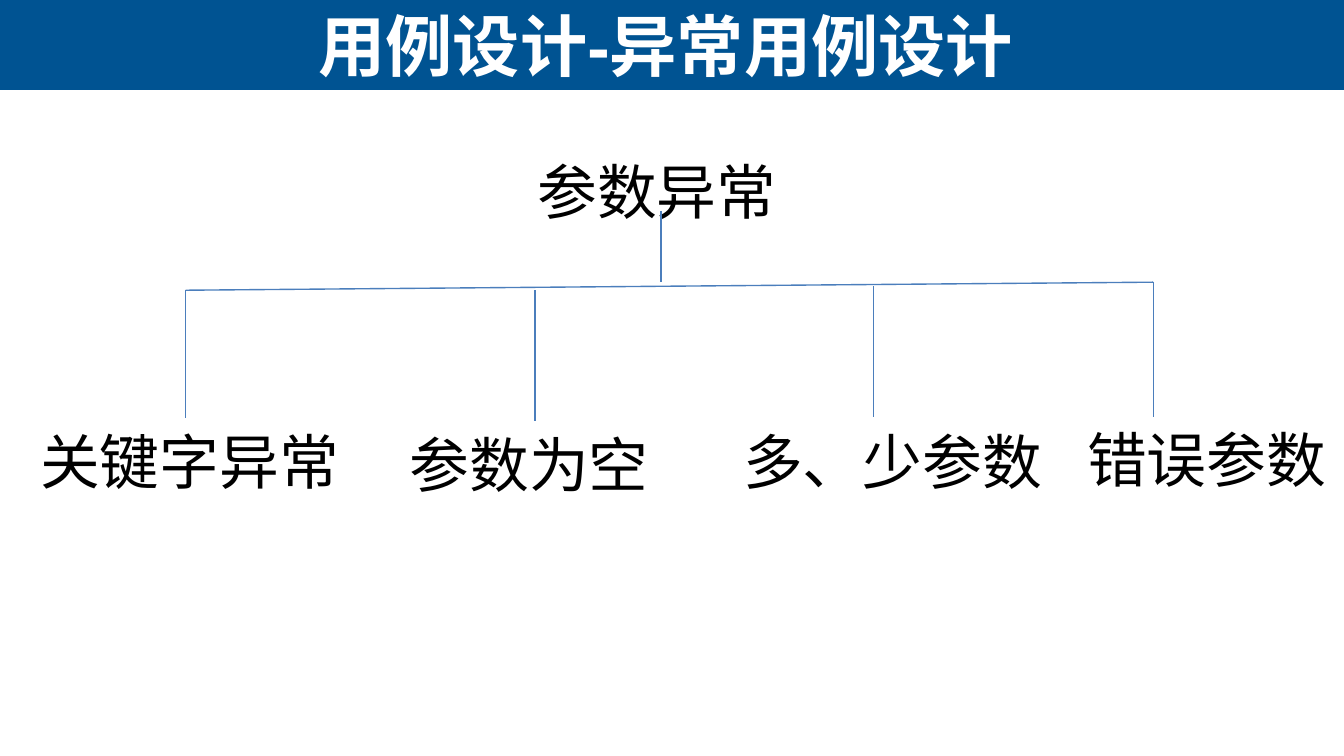
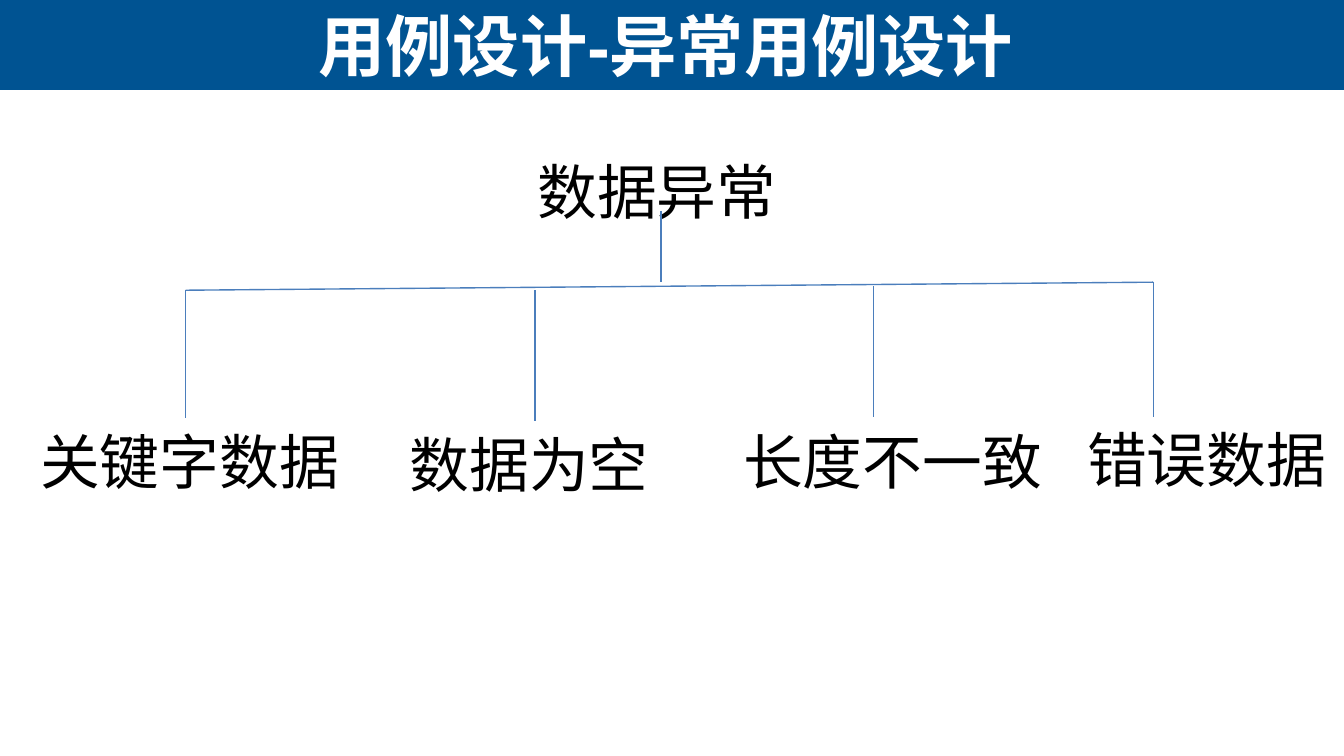
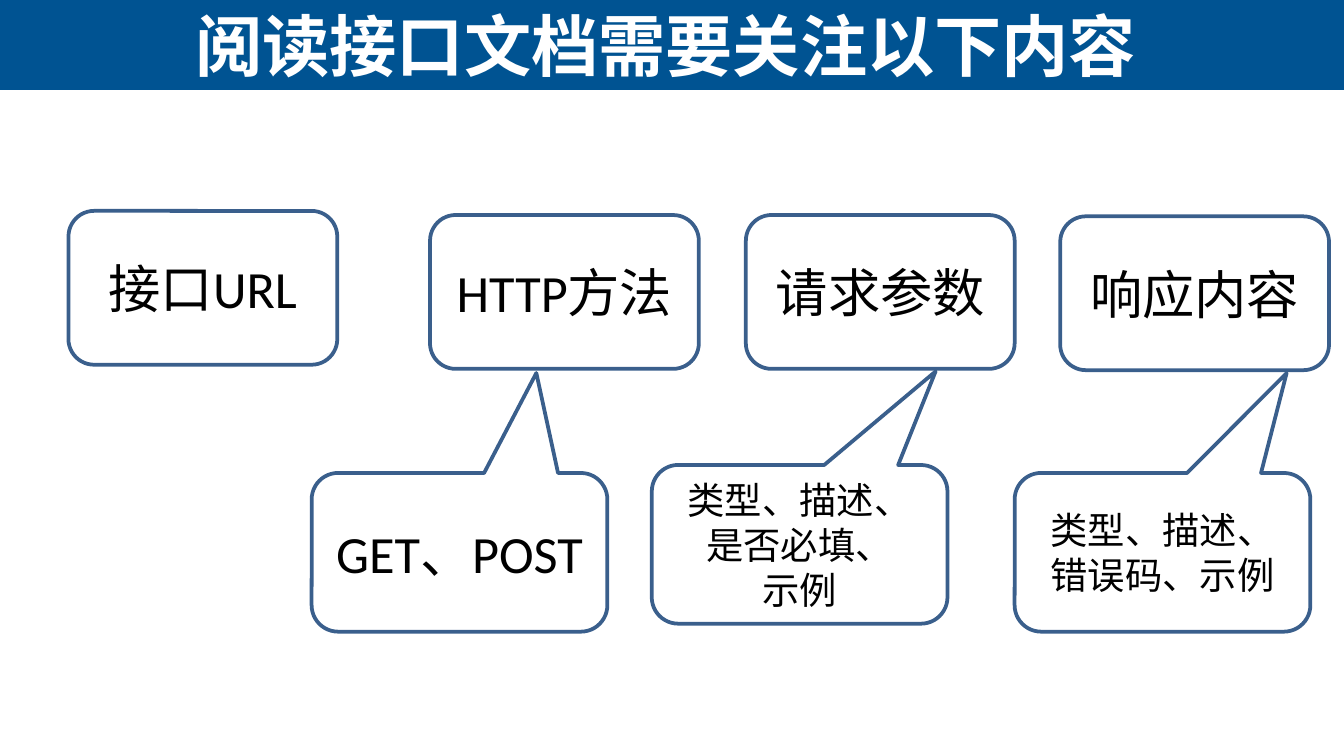
from dataclasses import dataclass

from lxml.etree import SubElement
from pptx import Presentation
from pptx.dml.color import RGBColor
from pptx.enum.lang import MSO_LANGUAGE_ID
from pptx.enum.shapes import MSO_CONNECTOR, MSO_SHAPE
from pptx.enum.text import MSO_ANCHOR, MSO_AUTO_SIZE, PP_ALIGN
from pptx.oxml.ns import qn
from pptx.presentation import Presentation as Deck
from pptx.shapes.autoshape import Shape
from pptx.slide import Slide
from pptx.text.text import TextFrame
from pptx.util import Pt


@dataclass(frozen=True)
class Theme:
    paper: RGBColor = RGBColor(0xFF, 0xFF, 0xFF)
    band: RGBColor = RGBColor(0x00, 0x53, 0x92)
    ink: RGBColor = RGBColor(0x00, 0x00, 0x00)
    branch: RGBColor = RGBColor(0x4B, 0x7E, 0xBC)
    edge: RGBColor = RGBColor(0x3A, 0x5F, 0x8C)
    head: str = "Arial"
    body: str = "Calibri"
    title: float = 36
    node: float = 32
    card: float = 28
    note: float = 20
    thin: float = 0.75
    thick: float = 2


THEME = Theme()
WIDTH, HEIGHT, BAND = 720, 405, 48.2


@dataclass(frozen=True)
class Box:
    left: float
    top: float
    width: float
    height: float


@dataclass(frozen=True)
class Line:
    x1: float
    y1: float
    x2: float
    y2: float


@dataclass(frozen=True)
class Tree:
    root: str
    leaves: tuple[str, ...]


@dataclass(frozen=True)
class Card:
    text: str
    left: float
    top: float


@dataclass(frozen=True)
class Callout:
    lines: tuple[str, ...]
    left: float
    top: float
    tip_x: float
    tip_y: float
    size: float


NODE_H = 46.1
ROOT = Box(280.8, 79.2, 226.8, NODE_H)
LEAVES = (
    Box(14.4, 223.9, 226.8, NODE_H),
    Box(212.4, 225.4, 226.8, NODE_H),
    Box(391, 223.9, 226.8, NODE_H),
    Box(575.3, 223.2, 161.3, NODE_H),
)
LINES = (
    Line(99.4, 155.5, 617.8, 151.2),
    Line(99.4, 155.5, 99.4, 223.9),
    Line(286.6, 155.5, 286.6, 225.4),
    Line(468, 153.4, 468, 223.2),
    Line(617.8, 151.2, 617.8, 223.2),
    Line(354.2, 113, 354.2, 151.2),
)
TREES = (
    Tree("参数异常", ("关键字异常", "参数为空", "多、少参数", "错误参数")),
    Tree("数据异常", ("关键字数据", "数据为空", "长度不一致", "错误数据")),
)
CARDS = (
    Card("接口URL", 36.7, 113),
    Card("HTTP方法", 230.4, 115.2),
    Card("请求参数", 399.6, 115.2),
    Card("响应内容", 568, 115.9),
)
CALLOUTS = (
    Callout(("类型、描述、", "错误码、示例"), 543.6, 253.4, 0.42, -1.13, THEME.note),
    Callout(("GET、POST",), 167, 253.4, 0.26, -1.13, THEME.card),
    Callout(("类型、描述、", "是否必填、", "示例"), 349.2, 249.1, 0.46, -1.09, THEME.note),
)


def write(frame: TextFrame, lines: tuple[str, ...], size: float, align: PP_ALIGN,
          color: RGBColor = THEME.ink, face: str = THEME.body, bold: bool = False) -> None:
    frame.word_wrap = True
    for at, line in enumerate(lines):
        para = frame.add_paragraph() if at else frame.paragraphs[0]
        para.alignment = align
        run = para.add_run()
        run.text = line
        font = run.font
        font.size = Pt(size)
        font.name = face
        font.bold = bold
        font.color.rgb = color
        font.language_id = MSO_LANGUAGE_ID.SIMPLIFIED_CHINESE


def add_text(slide: Slide, box: Box) -> TextFrame:
    return slide.shapes.add_textbox(
        Pt(box.left), Pt(box.top), Pt(box.width), Pt(box.height)).text_frame


def add_form(slide: Slide, kind: MSO_SHAPE, box: Box) -> Shape:
    form = slide.shapes.add_shape(
        kind, Pt(box.left), Pt(box.top), Pt(box.width), Pt(box.height))
    form.shadow.inherit = False
    return form


def add_slide(deck: Deck, title: str) -> Slide:
    slide = deck.slides.add_slide(deck.slide_layouts[6])
    fill = slide.background.fill
    fill.solid()
    fill.fore_color.rgb = THEME.paper
    band = add_form(slide, MSO_SHAPE.RECTANGLE, Box(0, 0, WIDTH, BAND))
    band.fill.solid()
    band.fill.fore_color.rgb = THEME.band
    band.line.fill.background()
    frame = add_text(slide, Box(1.4, 0, 710.6, BAND))
    frame.vertical_anchor = MSO_ANCHOR.MIDDLE
    write(frame, (title,), THEME.title, PP_ALIGN.CENTER, THEME.paper, THEME.head, True)
    return slide


def add_node(slide: Slide, text: str, box: Box) -> None:
    frame = add_text(slide, box)
    frame.auto_size = MSO_AUTO_SIZE.SHAPE_TO_FIT_TEXT
    write(frame, (text,), THEME.node, PP_ALIGN.LEFT)


def add_line(slide: Slide, line: Line) -> None:
    link = slide.shapes.add_connector(
        MSO_CONNECTOR.STRAIGHT, Pt(line.x1), Pt(line.y1), Pt(line.x2), Pt(line.y2))
    link.line.color.rgb = THEME.branch
    link.line.width = Pt(THEME.thin)
    SubElement(link._element.spPr, qn("a:effectLst"))


def add_tree(slide: Slide, tree: Tree) -> None:
    add_node(slide, tree.root, ROOT)
    for text, box in zip(tree.leaves, LEAVES):
        add_node(slide, text, box)
    for line in LINES:
        add_line(slide, line)


def add_frame(slide: Slide, kind: MSO_SHAPE, box: Box,
              lines: tuple[str, ...], size: float) -> Shape:
    form = add_form(slide, kind, box)
    form.fill.background()
    form.line.color.rgb = THEME.edge
    form.line.width = Pt(THEME.thick)
    form.text_frame.vertical_anchor = MSO_ANCHOR.MIDDLE
    write(form.text_frame, lines, size, PP_ALIGN.CENTER)
    return form


def add_card(slide: Slide, card: Card) -> None:
    add_frame(slide, MSO_SHAPE.ROUNDED_RECTANGLE,
              Box(card.left, card.top, 144, 82.4), (card.text,), THEME.card)


def add_callout(slide: Slide, note: Callout) -> None:
    form = add_frame(slide, MSO_SHAPE.ROUNDED_RECTANGULAR_CALLOUT,
                     Box(note.left, note.top, 158.4, 85), note.lines, note.size)
    form.adjustments[0] = note.tip_x
    form.adjustments[1] = note.tip_y


def main() -> None:
    deck = Presentation()
    deck.slide_width = Pt(WIDTH)
    deck.slide_height = Pt(HEIGHT)
    for tree in TREES:
        add_tree(add_slide(deck, "用例设计-异常用例设计"), tree)
    slide = add_slide(deck, "阅读接口文档需要关注以下内容")
    for card in CARDS:
        add_card(slide, card)
    for note in CALLOUTS:
        add_callout(slide, note)
    deck.save("out.pptx")


if __name__ == "__main__":
    main()
